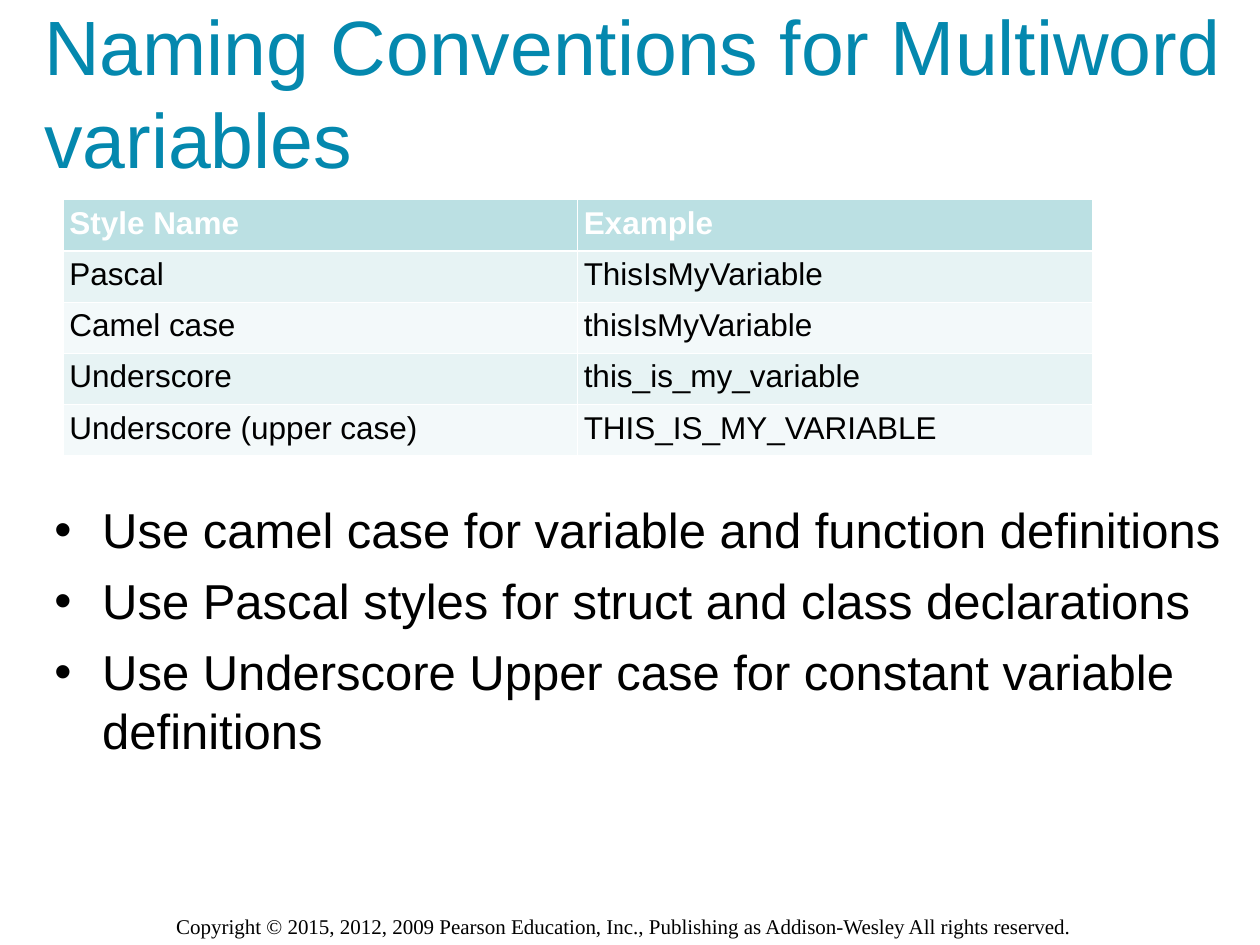
from dataclasses import dataclass
from lxml.etree import SubElement
from pptx import Presentation
from pptx.dml.color import RGBColor as RGB
from pptx.enum.text import MSO_ANCHOR as Anchor, PP_ALIGN as Align
from pptx.oxml.ns import qn
from pptx.util import Inches, Pt

COLS, ROWS = 120, 90
WIDTH, HEIGHT = Inches(10), Inches(7.5)


@dataclass(frozen=True)
class Theme:
    """Colours, fonts and type sizes of the slide."""
    sans: str = "Arial"
    serif: str = "Times New Roman"
    ink: str = "000000"
    white: str = "FFFFFF"
    title: str = "0488AE"
    header: str = "BBE0E3"
    bands: tuple = ("E7F3F4", "F3F9FA")
    title_size: int = 44
    body_size: int = 28
    table_size: int = 18
    footer_size: int = 12
    thin: float = 0.45
    thick: float = 1.47


T = Theme()


def grid(col, row, cols, rows):
    """Turn grid columns and rows into left, top, width and height."""
    x, y = WIDTH / COLS, HEIGHT / ROWS
    return [round(v) for v in (col * x, row * y, cols * x, rows * y)]


def write(p, text, size, color=T.ink, font=T.sans, bold=False):
    """Add one formatted run to a left-aligned paragraph."""
    p.alignment = Align.LEFT
    r = p.add_run()
    r.text = text
    r.font.size, r.font.name, r.font.bold = Pt(size), font, bold
    r.font.color.rgb = RGB.from_string(color)


def add_title(s, box, text):
    """Place and format the title placeholder."""
    sp = s.shapes.title
    sp.left, sp.top, sp.width, sp.height = box
    tf = sp.text_frame
    tf.word_wrap, tf.vertical_anchor = True, Anchor.MIDDLE
    write(tf.paragraphs[0], text, T.title_size, T.title)


def set_borders(cell, **widths):
    """Draw white cell borders with the widths given per side."""
    tcPr = cell._tc.get_or_add_tcPr()
    for side in "LRTB":
        ln = SubElement(tcPr, qn(f"a:ln{side}"), w=str(Pt(widths.get(side, T.thin))))
        fill = SubElement(ln, qn("a:solidFill"))
        SubElement(fill, qn("a:srgbClr"), val=T.white)


def add_style_table(s, box, rows):
    """Build the table of naming styles with equal columns and rows."""
    left, top, width, height = box
    table = s.shapes.add_table(len(rows), len(rows[0]), *box).table
    for col in table.columns:
        col.width = width // len(rows[0])
    for i, texts in enumerate(rows):
        table.rows[i].height = height // len(rows)
        edges = {0: {"B": T.thick}, 1: {"T": T.thick}}.get(i, {})
        for cell, text in zip(table.rows[i].cells, texts):
            cell.margin_left = cell.margin_right = Inches(0.05)
            cell.margin_top = cell.margin_bottom = Inches(0.05)
            set_borders(cell, **edges)
            cell.fill.solid()
            color = T.bands[(i - 1) % 2] if i else T.header
            cell.fill.fore_color.rgb = RGB.from_string(color)
            write(cell.text_frame.paragraphs[0], text, T.table_size,
                  T.ink if i else T.white, bold=i == 0)


def add_bullets(s, box, items):
    """Add the bulleted guidelines with a hanging indent."""
    tf = s.shapes.add_textbox(*box).text_frame
    tf.word_wrap = True
    for i, text in enumerate(items):
        p = tf.add_paragraph() if i else tf.paragraphs[0]
        pPr = p._p.get_or_add_pPr()
        indent = Inches(0.38)
        pPr.set("marL", str(indent))
        pPr.set("indent", str(-indent))
        SubElement(SubElement(pPr, qn("a:buClr")), qn("a:srgbClr"), val=T.ink)
        SubElement(pPr, qn("a:buFont"), typeface=T.sans)
        SubElement(pPr, qn("a:buChar"), char="•")
        p.space_before = Pt(7 if i else 0)
        write(p, text, T.body_size)


def add_footer(s, box, text):
    """Add the copyright line."""
    tf = s.shapes.add_textbox(*box).text_frame
    tf.word_wrap = True
    write(tf.paragraphs[0], text, T.footer_size, font=T.serif)


def main():
    """Build and save the slide."""
    prs = Presentation()
    prs.slide_width, prs.slide_height = WIDTH, HEIGHT
    s = prs.slides.add_slide(prs.slide_layouts[5])
    add_footer(s, grid(15.6, 86.4, 89, 3.6),
               "Copyright © 2015, 2012, 2009 Pearson Education, Inc., "
               "Publishing as Addison-Wesley All rights reserved.")
    add_title(s, grid(3, 1, 115, 15.4), "Naming Conventions for Multiword variables")
    add_style_table(s, grid(6, 19, 98, 24.4), [
        ("Style Name", "Example"),
        ("Pascal", "ThisIsMyVariable"),
        ("Camel case", "thisIsMyVariable"),
        ("Underscore", "this_is_my_variable"),
        ("Underscore (upper case)", "THIS_IS_MY_VARIABLE"),
    ])
    add_bullets(s, grid(4, 47, 114, 34), [
        "Use camel case for variable and function definitions",
        "Use Pascal styles for struct and class declarations",
        "Use Underscore Upper case for constant variable definitions",
    ])
    prs.save("out.pptx")


if __name__ == "__main__":
    main()
